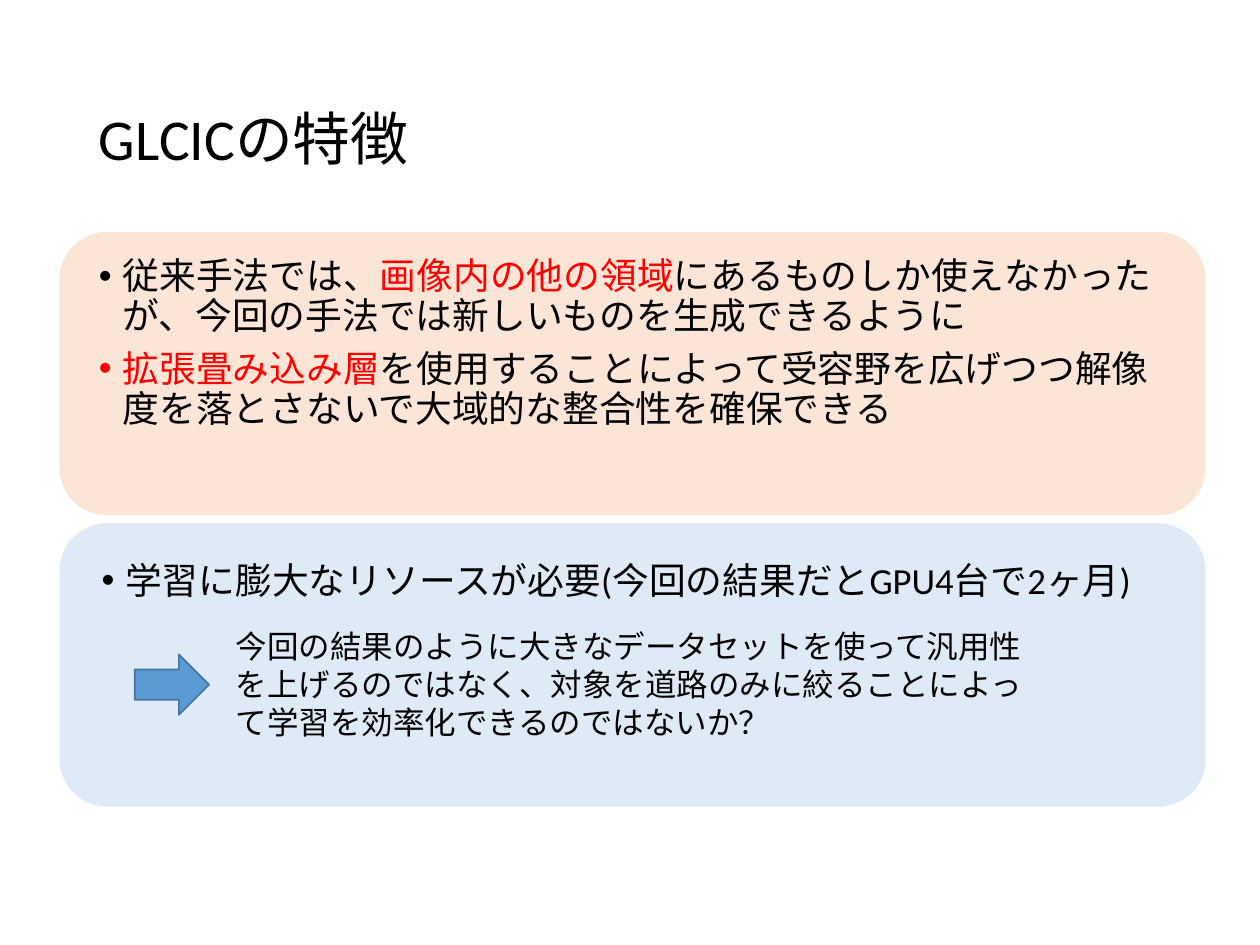
from dataclasses import dataclass

from lxml import etree
from pptx import Presentation
from pptx import util as u
from pptx.dml import color
from pptx.enum import shapes, text
from pptx.oxml import ns


@dataclass(frozen=True)
class Theme:
    font: str = "Calibri"
    ink: str = "000000"
    key: str = "FF0000"
    peach: str = "FBE5D6"
    sky: str = "DEEBF7"
    blue: str = "5B9BD5"
    edge: str = "43739E"
    head: float = 33
    body: float = 21
    note: float = 18


@dataclass(frozen=True)
class Box:
    x: float
    y: float
    w: float
    h: float

    def rect(self) -> list[u.Length]:
        return [u.Pt(v) for v in (self.x, self.y, self.w, self.h)]


@dataclass(frozen=True)
class Run:
    words: str
    tint: str


@dataclass(frozen=True)
class Form:
    kind: shapes.MSO_SHAPE
    box: Box
    fill: str
    line: str


@dataclass(frozen=True)
class Copy:
    box: Box
    paras: list[list[Run]]
    size: float
    lead: float = 0.9
    bullet: bool = False
    anchor: text.MSO_ANCHOR = text.MSO_ANCHOR.TOP


INDENT = 13.5
GAP = 7.5


def draw_form(slide, form: Form) -> None:
    shape = slide.shapes.add_shape(form.kind, *form.box.rect())
    shape.shadow.inherit = False
    shape.fill.solid()
    shape.fill.fore_color.rgb = color.RGBColor.from_string(form.fill)
    shape.line.color.rgb = color.RGBColor.from_string(form.line)
    shape.line.width = u.Pt(1)


def add_bullet(para) -> None:
    props = para._p.get_or_add_pPr()
    props.set("marL", str(u.Pt(INDENT)))
    props.set("indent", str(-u.Pt(INDENT)))
    font = etree.SubElement(props, ns.qn("a:buFont"))
    font.set("typeface", "Arial")
    mark = etree.SubElement(props, ns.qn("a:buChar"))
    mark.set("char", "•")


def draw_copy(slide, copy: Copy, theme: Theme) -> None:
    frame = slide.shapes.add_textbox(*copy.box.rect()).text_frame
    frame.word_wrap = True
    frame.vertical_anchor = copy.anchor
    for i, runs in enumerate(copy.paras):
        para = frame.add_paragraph() if i else frame.paragraphs[0]
        if copy.bullet:
            add_bullet(para)
        para.line_spacing = copy.lead
        if i:
            para.space_before = u.Pt(GAP)
        for item in runs:
            run = para.add_run()
            run.text = item.words
            run.font.name = theme.font
            run.font.size = u.Pt(copy.size)
            run.font.color.rgb = color.RGBColor.from_string(item.tint)


def main() -> None:
    theme = Theme()
    deck = Presentation()
    deck.slide_width, deck.slide_height = u.Pt(720), u.Pt(540)
    slide = deck.slides.add_slide(deck.slide_layouts[6])

    panels = [
        Form(shapes.MSO_SHAPE.ROUNDED_RECTANGLE,
             Box(34.5, 133 + i * 166.5, 654, 161), tint, tint)
        for i, tint in enumerate((theme.peach, theme.sky))
    ]
    arrow = Form(shapes.MSO_SHAPE.RIGHT_ARROW, Box(77, 374, 42.5, 34.5),
                 theme.blue, theme.edge)
    for form in (*panels, arrow):
        draw_form(slide, form)

    title = Copy(Box(49.5, 28.75, 621, 104.5),
                 [[Run("GLCICの特徴", theme.ink)]],
                 theme.head, anchor=text.MSO_ANCHOR.MIDDLE)
    merits = Copy(Box(49.5, 144, 621, 123), [
        [Run("従来手法では、", theme.ink),
         Run("画像内の他の領域", theme.key),
         Run("にあるものしか使えなかったが、今回の手法では新しいものを生成できるように",
             theme.ink)],
        [Run("拡張畳み込み層", theme.key),
         Run("を使用することによって受容野を広げつつ解像度を落とさないで大域的な整合性を確保できる",
             theme.ink)],
    ], theme.body, bullet=True)
    limit = Copy(Box(51, 318, 621, 123), [
        [Run("学習に膨大なリソースが必要(今回の結果だとGPU4台で2ヶ月)", theme.ink)],
    ], theme.body, bullet=True)
    idea = Copy(Box(127.5, 355, 464.5, 72.5), [
        [Run("今回の結果のように大きなデータセットを使って汎用性を上げるのではなく、"
             "対象を道路のみに絞ることによって学習を効率化できるのではないか？",
             theme.ink)],
    ], theme.note, lead=1.0)
    for copy in (title, merits, limit, idea):
        draw_copy(slide, copy, theme)

    deck.save("out.pptx")


if __name__ == "__main__":
    main()
